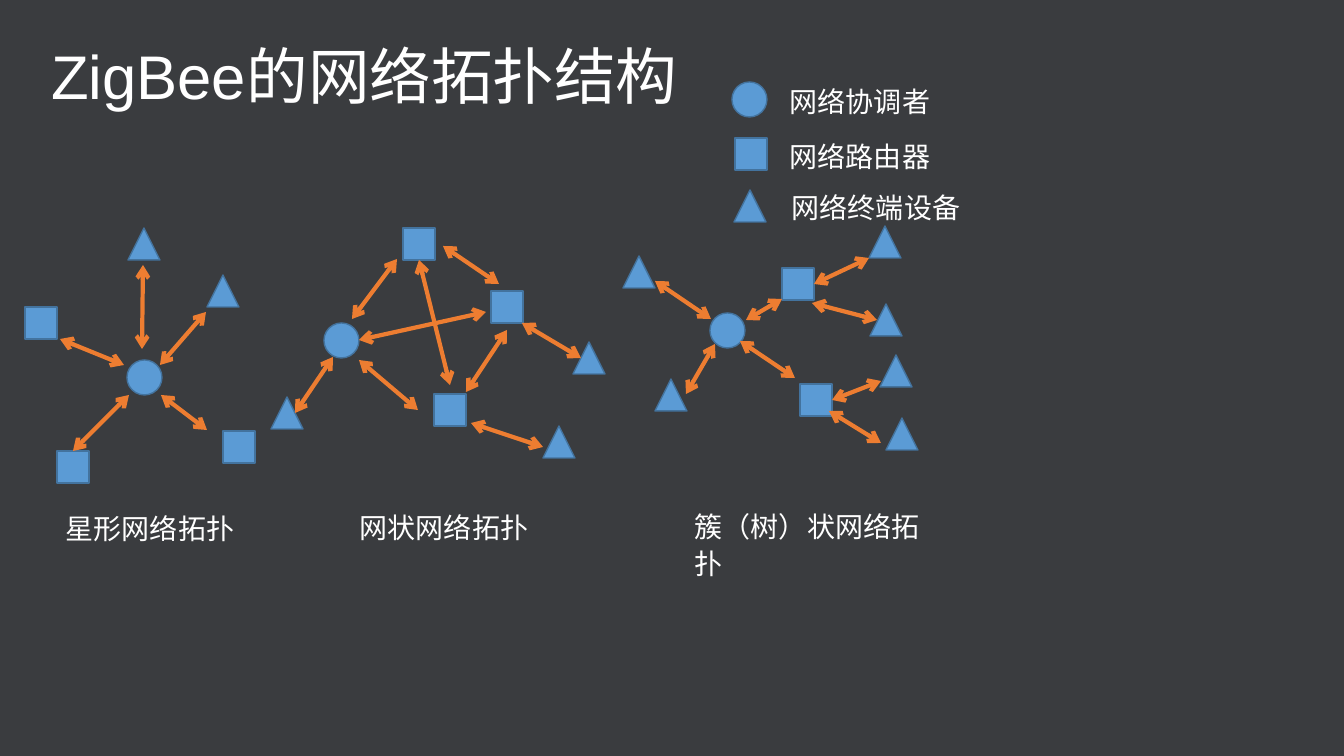
from lxml import etree
from pptx import Presentation
from pptx import util as u
from pptx.dml.color import RGBColor
from pptx.enum import shapes, text
from pptx.oxml.ns import qn

COLOURS = {
    "background": "3A3C3F",
    "node": "5B9BD5",
    "outline": "43739E",
    "arrow": "ED7D31",
    "text": "FFFFFF",
}
LATIN, CHINESE = "Arial", "Noto Sans CJK SC"
NODE_KINDS = {
    "coordinator": (shapes.MSO_SHAPE.OVAL, 35),
    "router": (shapes.MSO_SHAPE.RECTANGLE, 32),
    "device": (shapes.MSO_SHAPE.ISOSCELES_TRIANGLE, 32),
}
TOP, BOTTOM, RIGHT = 0, 2, 3

LEGEND = [
    ("coordinator", 732, 82, "网络协调者", 780, 77),
    ("router", 735, 138, "网络路由器", 780, 132),
    ("device", 734, 190, "网络终端设备", 782, 183),
]

TOPOLOGIES = [
    {
        "caption": ("星形网络拓扑", 56, 504),
        "coordinator": [(127, 360)],
        "router": [(57, 451), (223, 431), (25, 307)],
        "device": [(207, 275), (128, 228)],
        "joined": [(0, TOP, (129, 395))],
        "arrows": [
            ((206, 312), (160, 365)),
            ((143, 265), (142, 349)),
            ((161, 395), (207, 430)),
            ((124, 365), (60, 339)),
        ],
    },
    {
        "caption": ("网状网络拓扑", 350, 503),
        "coordinator": [(324, 323)],
        "router": [(403, 228), (491, 291), (434, 394)],
        "device": [(271, 397), (573, 342), (543, 426)],
        "joined": [(0, BOTTOM, (450, 385))],
        "arrows": [
            ((333, 357), (295, 413)),
            ((397, 259), (352, 319)),
            ((359, 360), (418, 410)),
            ((507, 330), (466, 392)),
            ((486, 312), (359, 340)),
            ((443, 246), (499, 284)),
            ((522, 323), (581, 358)),
            ((543, 447), (471, 423)),
        ],
    },
    {
        "caption": ("簇（树）状网络拓扑", 685, 502),
        "coordinator": [(710, 313)],
        "router": [(782, 268), (800, 384)],
        "device": [(623, 256), (655, 379), (869, 226),
                   (870, 304), (880, 355), (886, 418)],
        "joined": [(0, RIGHT, (869, 258)), (1, RIGHT, (881, 381))],
        "arrows": [
            ((655, 281), (711, 319)),
            ((715, 344), (686, 394)),
            ((746, 320), (782, 299)),
            ((740, 341), (795, 378)),
            ((812, 303), (877, 320)),
            ((829, 411), (881, 443)),
        ],
    },
]


def px(length):
    return u.Emu(round(length * 914400 / 100.8))


def colour(name):
    return RGBColor.from_string(COLOURS[name])


class TopologySlide:
    """Draws styled network elements on one slide."""

    def __init__(self, presentation):
        self.slide = presentation.slides.add_slide(presentation.slide_layouts[5])
        fill = self.slide.background.fill
        fill.solid()
        fill.fore_color.rgb = colour("background")

    def set_text(self, frame, wording, size, latin):
        frame.word_wrap = True
        frame.auto_size = text.MSO_AUTO_SIZE.NONE
        paragraph = frame.paragraphs[0]
        paragraph.text = wording
        paragraph.alignment = text.PP_ALIGN.LEFT
        font = paragraph.font
        font.size = u.Pt(size)
        font.color.rgb = colour("text")
        font.name = latin
        properties = paragraph._p.pPr.find(qn("a:defRPr"))
        etree.SubElement(properties, qn("a:ea"), typeface=CHINESE)
        return paragraph

    def title(self, wording, left, top, width, height):
        shape = self.slide.shapes.title
        shape.left, shape.top = px(left), px(top)
        shape.width, shape.height = px(width), px(height)
        shape.text_frame.vertical_anchor = text.MSO_ANCHOR.MIDDLE
        self.set_text(shape.text_frame, wording, 44, LATIN).line_spacing = 0.9

    def label(self, wording, left, top):
        width = min(len(wording) * 28 + 27, 260)
        shape = self.slide.shapes.add_textbox(px(left), px(top), px(width), px(44))
        self.set_text(shape.text_frame, wording, 20, CHINESE).line_spacing = u.Pt(26)

    def node(self, kind, left, top):
        preset, size = NODE_KINDS[kind]
        shape = self.slide.shapes.add_shape(preset, px(left), px(top), px(size), px(size))
        shape.shadow.inherit = False
        shape.fill.solid()
        shape.fill.fore_color.rgb = colour("node")
        shape.line.color.rgb = colour("outline")
        shape.line.width = u.Pt(1)
        return shape

    def arrow(self, start, end):
        connector = self.slide.shapes.add_connector(
            shapes.MSO_CONNECTOR.STRAIGHT, *map(px, start + end))
        connector.line.color.rgb = colour("arrow")
        connector.line.width = u.Pt(3)
        line = connector.line._get_or_add_ln()
        for tip in ("a:headEnd", "a:tailEnd"):
            etree.SubElement(line, qn(tip), type="arrow")
        etree.SubElement(connector._element.spPr, qn("a:effectLst"))
        return connector

    def topology(self, network):
        nodes = {kind: [self.node(kind, *place) for place in network[kind]]
                 for kind in NODE_KINDS}
        for start, end in network["arrows"]:
            self.arrow(start, end)
        for router, side, end in network["joined"]:
            self.arrow(end, end).begin_connect(nodes["router"][router], side)
        self.label(*network["caption"])


def main():
    presentation = Presentation()
    presentation.slide_width, presentation.slide_height = px(1344), px(756)
    slide = TopologySlide(presentation)
    slide.title("ZigBee的网络拓扑结构", 41, 41, 1160, 78)
    for network in TOPOLOGIES:
        slide.topology(network)
    for kind, left, top, wording, label_left, label_top in LEGEND:
        slide.node(kind, left, top)
        slide.label(wording, label_left, label_top)
    presentation.save("out.pptx")


if __name__ == "__main__":
    main()
